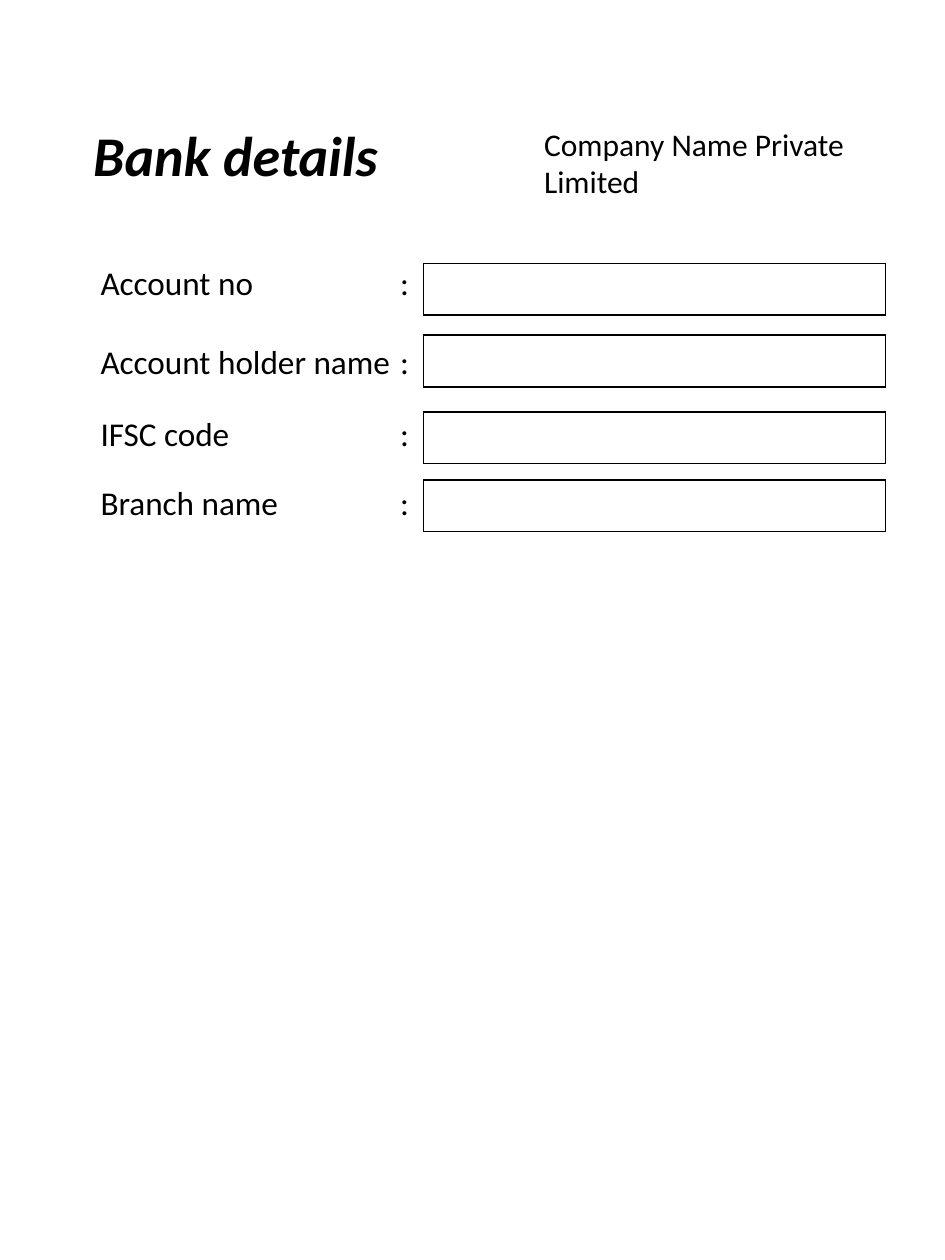
from lxml.etree import SubElement
from pptx import Presentation
from pptx.dml.color import RGBColor
from pptx.enum.text import MSO_ANCHOR, MSO_AUTO_SIZE, PP_ALIGN
from pptx.oxml.ns import qn
from pptx.util import Inches, Pt

HUES = {"ink": "000000", "page": "FFFFFF"}
FONT = "Calibri"

deck = Presentation()
deck.slide_width, deck.slide_height = Inches(7.5), Inches(10)
wide, high = deck.slide_width / 100, deck.slide_height / 100
slide = deck.slides.add_slide(deck.slide_layouts[5])


def place(x, y, w, h):
    return int(x * wide), int(y * high), int(w * wide), int(h * high)


def write(text, box, shape=None, size=19, bold=False, slant=False,
          anchor=MSO_ANCHOR.TOP, stop=None):
    shape = shape or slide.shapes.add_textbox(0, 0, 0, 0)
    shape.left, shape.top, shape.width, shape.height = place(*box)
    frame = shape.text_frame
    frame.word_wrap = True
    frame.auto_size = MSO_AUTO_SIZE.NONE
    frame.vertical_anchor = anchor
    para = frame.paragraphs[0]
    para.alignment = PP_ALIGN.LEFT
    run = para.add_run()
    run.text = text
    font = run.font
    font.name, font.size, font.bold, font.italic = FONT, Pt(size), bold, slant
    font.color.rgb = RGBColor.from_string(HUES["ink"])
    if stop:
        tabs = SubElement(para._p.get_or_add_pPr(), qn("a:tabLst"))
        SubElement(tabs, qn("a:tab"), pos=str(int(stop * wide)), algn="l")


write("Bank details", (8.53, 8.1, 48.67, 8.3), shape=slide.shapes.title,
      size=32, bold=True, slant=True, anchor=MSO_ANCHOR.MIDDLE)
write("Company Name Private Limited", (56.27, 9.4, 36, 5.2), size=18)

rows = [
    ("Account no", 20.3, 20.9),
    ("Account holder name", 26.6, 26.6),
    ("IFSC code", 32.3, 32.7),
    ("Branch name", 37.8, 38.1),
]
for label, top, edge in rows:
    write(f"{label}\t:", (9.33, top, 37.47, 5.2), stop=31.7)

    grid = slide.shapes.add_table(1, 1, *place(44.8, edge, 48.93, 4.1)).table
    grid.first_row = grid.horz_banding = False
    cell = grid.cell(0, 0)
    props = cell._tc.get_or_add_tcPr()
    for side in ("lnL", "lnR", "lnT", "lnB"):
        line = SubElement(props, qn(f"a:{side}"), w=str(Pt(1)))
        fill = SubElement(line, qn("a:solidFill"))
        SubElement(fill, qn("a:srgbClr"), val=HUES["ink"])
    cell.fill.solid()
    cell.fill.fore_color.rgb = RGBColor.from_string(HUES["page"])

deck.save("out.pptx")
